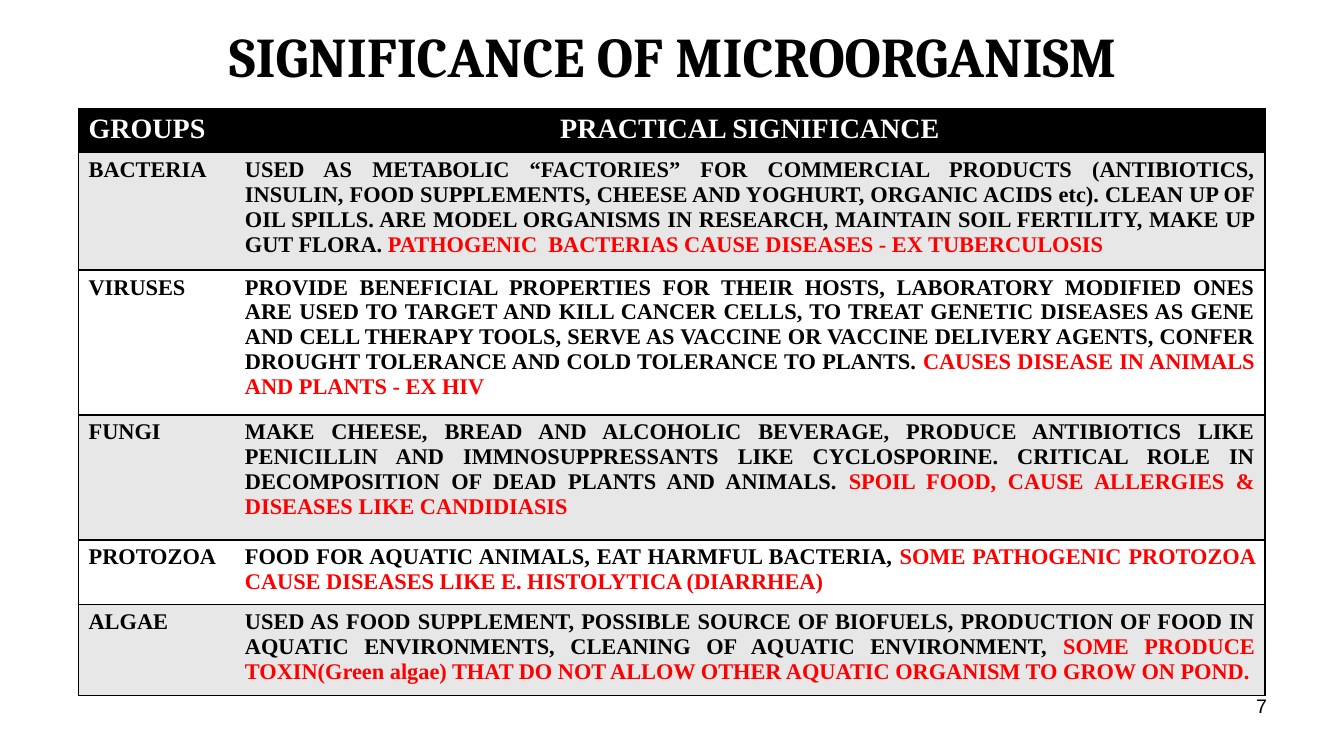
from lxml.etree import SubElement
from pptx import Presentation
from pptx.dml.color import RGBColor
from pptx.enum.text import PP_ALIGN as Align
from pptx.oxml.ns import qn
from pptx.util import Cm, Pt

TITLE = "SIGNIFICANCE OF MICROORGANISM"
PAGE_NUMBER = "7"
HEADER = ("GROUPS", "PRACTICAL SIGNIFICANCE")
# group, benefits, harms, row height in cm
GROUPS = [
    ("BACTERIA",
     "USED AS METABOLIC “FACTORIES” FOR COMMERCIAL PRODUCTS (ANTIBIOTICS, INSULIN, "
     "FOOD SUPPLEMENTS, CHEESE AND YOGHURT, ORGANIC ACIDS etc). CLEAN UP OF OIL SPILLS. "
     "ARE MODEL ORGANISMS IN RESEARCH, MAINTAIN SOIL FERTILITY, MAKE UP GUT FLORA. ",
     "PATHOGENIC  BACTERIAS CAUSE DISEASES - EX TUBERCULOSIS", 2.95),
    ("VIRUSES",
     "PROVIDE BENEFICIAL PROPERTIES FOR THEIR HOSTS, LABORATORY MODIFIED ONES ARE USED "
     "TO TARGET AND KILL CANCER CELLS, TO TREAT GENETIC DISEASES AS GENE AND CELL THERAPY "
     "TOOLS, SERVE AS VACCINE OR VACCINE DELIVERY AGENTS, CONFER DROUGHT TOLERANCE AND "
     "COLD TOLERANCE TO PLANTS. ",
     "CAUSES DISEASE IN ANIMALS AND PLANTS - EX HIV", 3.65),
    ("FUNGI",
     "MAKE CHEESE, BREAD AND ALCOHOLIC BEVERAGE, PRODUCE ANTIBIOTICS LIKE PENICILLIN AND "
     "IMMNOSUPPRESSANTS LIKE CYCLOSPORINE. CRITICAL ROLE IN DECOMPOSITION OF DEAD PLANTS "
     "AND ANIMALS. ",
     "SPOIL FOOD, CAUSE ALLERGIES & DISEASES LIKE CANDIDIASIS", 3.15),
    ("PROTOZOA",
     "FOOD FOR AQUATIC ANIMALS, EAT HARMFUL BACTERIA, ",
     "SOME PATHOGENIC PROTOZOA CAUSE DISEASES LIKE E. HISTOLYTICA (DIARRHEA)", 1.62),
    ("ALGAE",
     "USED AS FOOD SUPPLEMENT, POSSIBLE SOURCE OF BIOFUELS, PRODUCTION OF FOOD IN AQUATIC "
     "ENVIRONMENTS, CLEANING OF AQUATIC ENVIRONMENT, ",
     "SOME PRODUCE TOXIN(Green algae) THAT DO NOT ALLOW OTHER AQUATIC ORGANISM TO GROW "
     "ON POND.", 2.3),
]
COLORS = {"ink": "000000", "paper": "FFFFFF", "band": "E7E7E7", "harm": "FF0000"}
HEADER_HEIGHT = 1.09
COLUMN_WIDTHS = (3.94, 25.96)
TABLE_LEFT, TABLE_TOP = 1.98, 2.74


def rgb(name):
    return RGBColor.from_string(COLORS[name])


def write(frame, spans, size, align=Align.LEFT, font="Times New Roman", bold=True):
    """Fill the frame with one paragraph of (text, colour name) spans."""
    frame.word_wrap = True
    para = frame.paragraphs[0]
    para.alignment = align
    for text, color in spans:
        span = para.add_run()
        span.text = text
        span.font.size = Pt(size)
        span.font.name = font
        span.font.bold = bold
        span.font.color.rgb = rgb(color)


def add_text(page, area, *args):
    box = page.shapes.add_textbox(*map(Cm, area))
    write(box.text_frame, *args)


def style_cell(cell, fill, outer_side):
    """Fill the cell and rule it on all sides but the one between the columns."""
    properties = cell._tc.get_or_add_tcPr()
    for side in ("lnL", "lnR", "lnT", "lnB"):
        line = SubElement(properties, qn(f"a:{side}"), w=str(Pt(1)))
        if side in (outer_side, "lnT", "lnB"):
            solid = SubElement(line, qn("a:solidFill"))
            SubElement(solid, qn("a:srgbClr"), val=COLORS["ink"])
        else:
            SubElement(line, qn("a:noFill"))
    cell.fill.solid()
    cell.fill.fore_color.rgb = rgb(fill)


def add_groups_table(page):
    heights = [HEADER_HEIGHT] + [group[-1] for group in GROUPS]
    table = page.shapes.add_table(
        len(heights), len(COLUMN_WIDTHS), Cm(TABLE_LEFT), Cm(TABLE_TOP),
        Cm(sum(COLUMN_WIDTHS)), Cm(sum(heights))).table
    for column, width in zip(table.columns, COLUMN_WIDTHS):
        column.width = Cm(width)
    for index, height in enumerate(heights):
        table.rows[index].height = Cm(height)
        fill = "ink" if index == 0 else ("band" if index % 2 else "paper")
        for column, outer_side in enumerate(("lnL", "lnR")):
            style_cell(table.cell(index, column), fill, outer_side)

    for column, align in enumerate((Align.LEFT, Align.CENTER)):
        write(table.cell(0, column).text_frame, [(HEADER[column], "paper")], 20, align)
    for index, (name, benefits, harms, _) in enumerate(GROUPS, start=1):
        write(table.cell(index, 0).text_frame, [(name, "ink")], 16)
        write(table.cell(index, 1).text_frame,
              [(benefits, "ink"), (harms, "harm")], 16, Align.JUSTIFY)


def main():
    deck = Presentation()
    deck.slide_width, deck.slide_height = Cm(33.87), Cm(19.05)
    page = deck.slides.add_slide(deck.slide_layouts[6])
    add_text(page, (3.86, 0.43, 26.19, 1.96), [(TITLE, "ink")], 40, Align.CENTER, "Cambria")
    add_groups_table(page)
    add_text(page, (24.28, 17.35, 7.9, 1.32), [(PAGE_NUMBER, "ink")], 14,
             Align.RIGHT, "Arial", False)
    deck.save("out.pptx")


if __name__ == "__main__":
    main()
